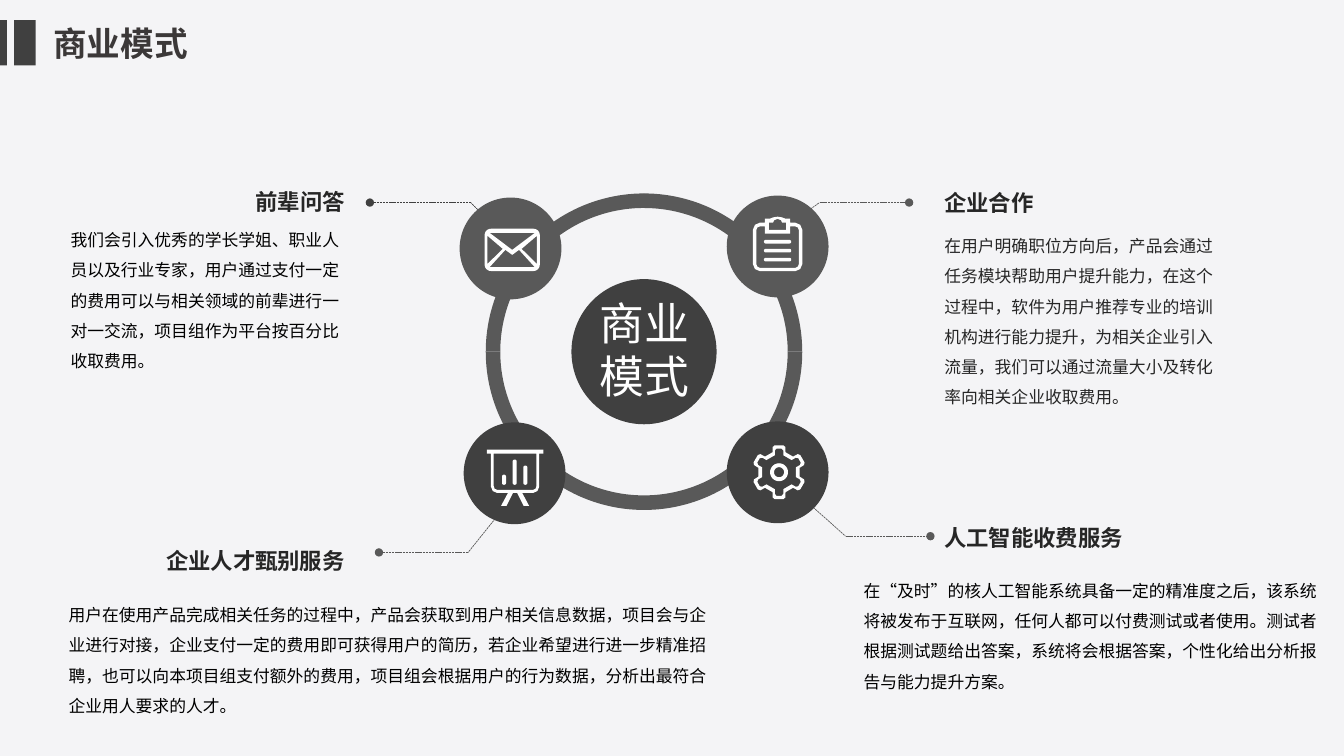
from dataclasses import dataclass
from math import cos, radians, sin

from lxml import etree
from pptx import Presentation
from pptx.dml.color import RGBColor
from pptx.enum.dml import MSO_LINE
from pptx.enum.shapes import MSO_CONNECTOR, MSO_SHAPE
from pptx.enum.text import MSO_ANCHOR, MSO_AUTO_SIZE, PP_ALIGN
from pptx.oxml.ns import qn
from pptx.util import Pt

RECT, OVAL, ARC = MSO_SHAPE.RECTANGLE, MSO_SHAPE.OVAL, MSO_SHAPE.BLOCK_ARC
STRAIGHT, DASH = MSO_CONNECTOR.STRAIGHT, MSO_LINE.SQUARE_DOT
LEFT, RIGHT = PP_ALIGN.LEFT, PP_ALIGN.RIGHT
TOP, MIDDLE = MSO_ANCHOR.TOP, MSO_ANCHOR.MIDDLE
GROW, FIXED = MSO_AUTO_SIZE.SHAPE_TO_FIT_TEXT, MSO_AUTO_SIZE.NONE

Point = tuple[float, float]
Path = list[Point]
Box = tuple[float, float, float, float]


@dataclass(frozen=True)
class Theme:
    page: RGBColor = RGBColor(0xF4, 0xF4, 0xF6)
    dark: RGBColor = RGBColor(0x40, 0x40, 0x40)
    mid: RGBColor = RGBColor(0x59, 0x59, 0x59)
    white: RGBColor = RGBColor(0xFF, 0xFF, 0xFF)
    black: RGBColor = RGBColor(0, 0, 0)
    ink: RGBColor = RGBColor(0x26, 0x26, 0x26)
    title: RGBColor = RGBColor(0x3B, 0x38, 0x38)
    sans: str = "Noto Sans CJK SC"
    arial: str = "Arial"
    hub: str = "Roboto"
    small: float = 12
    head: float = 16
    large: float = 24
    huge: float = 32


THEME = Theme()


@dataclass(frozen=True)
class Label:
    box: Box
    lines: tuple[str, ...]
    size: float = THEME.small
    colour: RGBColor = THEME.black
    font: str = THEME.sans
    bold: bool = False
    align: PP_ALIGN = LEFT
    anchor: MSO_ANCHOR = TOP
    fit: MSO_AUTO_SIZE = GROW
    inset: Box = (7.2, 3.6, 7.2, 3.6)
    space: float = 1
    wrap: bool = True


@dataclass(frozen=True)
class Lead:
    start: Point
    bend: Point
    end: Point
    colour: RGBColor = THEME.mid


@dataclass(frozen=True)
class Badge:
    disc: Point
    icon: Point
    paths: list[Path]
    colour: RGBColor


def head(box: Box, text: str, align: PP_ALIGN = LEFT) -> Label:
    return Label(box, (text,), THEME.head, THEME.ink, bold=True, align=align,
                 anchor=MIDDLE, fit=FIXED)


def mirror(half: Path, width: float) -> Path:
    return half + [(width - x, y) for x, y in reversed(half)]


def polar(radius: float, angle: float, mid: float = 18.7) -> Point:
    turn = radians(angle)
    return mid + radius * sin(turn), mid - radius * cos(turn)


def ring(radius: float) -> Path:
    return [polar(radius, angle) for angle in range(0, 360, 10)]


def cog(tooth: Path) -> Path:
    return [polar(radius, 60 * k + angle) for k in range(6) for radius, angle in tooth]


def pill(left: float, top: float, width: float, height: float, r: float) -> Path:
    ends = ((left + width - r, top + r, 0), (left + width - r, top + height - r, 90),
            (left + r, top + height - r, 180), (left + r, top + r, 270))
    return [(x + r * sin(radians(a + step)), y - r * cos(radians(a + step)))
            for x, y, a in ends for step in range(0, 91, 15)]


MAIL = [
    pill(0, 0, 39.4, 30.2, 4.5),
    mirror([(3.5, 2.9), (19.7, 15.1)], 39.4),
    [(2, 5), (13, 14.4), (2, 25.2)],
    [(37.4, 5), (26.4, 14.4), (37.4, 25.2)],
    mirror([(3.6, 27.4), (14.8, 15.1), (19.7, 18.7)], 39.4),
]
BOARD = [
    mirror([(20.2, 0), (0, 0), (0, 2.9), (2.9, 2.9), (2.9, 26.5), (4.2, 29.7), (7.2, 31),
            (15.1, 31), (10.1, 40.3), (14, 40.3), (18.7, 31)], 40.3),
    mirror([(4.9, 2.9), (4.9, 26), (5.5, 28), (7.2, 28.8)], 40.3),
] + [pill(10.8 + 7.6 * k, top, 2.9, 25.2 - top, 1.4) for k, top in enumerate((18, 7.2, 11.5))]
CLIP = [
    mirror([(17.6, 0), (14.5, 0.5), (12.2, 1.4), (8.6, 1.4), (8.6, 4.3), (5, 4.3),
            (1.5, 5.8), (0, 9.4), (0, 33.9), (1.5, 37.4), (5, 38.9)], 35.3),
    mirror([(8.6, 12.2), (8.6, 7), (5, 7), (3.2, 7.7), (2.5, 9.4), (2.5, 34),
            (3.2, 35.7), (5, 36.6)], 35.3),
    mirror([(17.6, 1.6), (15.2, 2.5), (14.4, 4.3), (11.5, 4.3), (11.5, 9.4)], 35.3),
] + [pill(7.9, 16.6 + 6.4 * k, 19.5, 2.6, 1.3) for k in range(3)]
GEAR = [
    cog([(15, -18), (18.6, -14), (19.5, -9), (19.5, 9), (18.6, 14), (15, 18)]),
    cog([(12.5, -14), (15.8, -11), (17, -6), (17, 6), (15.8, 11), (12.5, 14)]),
    ring(6.4),
    ring(3.6),
]

BADGES = (
    Badge((328.3, 141.1), (346.2, 163.4), MAIL, THEME.mid),
    Badge((331.2, 301.7), (347.8, 321.1), BOARD, THEME.dark),
    Badge((519.1, 139.7), (537.8, 154.8), CLIP, THEME.mid),
    Badge((519.1, 301), (537.8, 318.6), GEAR, THEME.dark),
)
LEADS = (
    Lead((552.2, 168.5), (585.4, 144.7), (649.4, 144.7)),
    Lead((360, 168.5), (336.2, 144.7), (264.2, 144.7), THEME.dark),
    Lead((367.9, 352.8), (334.4, 394.6), (270.7, 394.6)),
    Lead((571.7, 354.2), (604, 383), (664.6, 383)),
)
LABELS = (
    Label((31, 13, 281.5, 36), ("商业模式",), THEME.large, THEME.title, bold=True),
    Label((421.2, 207.4, 79.2, 85), ("商业", "模式"), THEME.huge, THEME.white, THEME.hub,
          wrap=False),
    head((72, 133.2, 181.4, 20.9), "前辈问答", RIGHT),
    head((667.4, 133.2, 166.3, 22.3), "企业合作"),
    head((72, 390.2, 181.4, 20.9), "企业人才甄别服务", RIGHT),
    head((667.4, 373, 166.3, 22.3), "人工智能收费服务"),
    Label((50.4, 157, 195.1, 106.6),
          ("我们会引入优秀的学长学姐、职业人员以及行业专家，用户通过支付一定的费用可以与相关领域的前辈进行一对一交流，项目组作为平台按百分比收取费用。",),
          inset=(0, 0, 0, 0), space=1.5),
    Label((674.6, 149, 203.8, 154.1),
          ("在用户明确职位方向后，产品会通过任务模块帮助用户提升能力，在这个过程中，软件为用户推荐专业的培训机构进行能力提升，为相关企业引入流量，我们可以通过流量大小及转化率向相关企业收取费用。",),
          colour=THEME.ink, font=THEME.arial, anchor=MIDDLE, fit=FIXED,
          inset=(0, 3.6, 7.2, 3.6), space=1.5),
    Label((49, 424.8, 463, 87.1),
          ("用户在使用产品完成相关任务的过程中，产品会获取到用户相关信息数据，项目会与企业进行对接，企业支付一定的费用即可获得用户的简历，若企业希望进行进一步精准招聘，也可以向本项目组支付额外的费用，项目组会根据用户的行为数据，分析出最符合企业用人要求的人才。",),
          inset=(0, 0, 0, 0), space=1.5),
    Label((609.8, 403.9, 350, 94.3),
          ("在“及时”的核人工智能系统具备一定的精准度之后，该系统将被发布于互联网，任何人都可以付费测试或者使用。测试者根据测试题给出答案，系统将会根据答案，个性化给出分析报告与能力提升方案。",),
          space=1.5),
)


def paint(shape, colour: RGBColor) -> None:
    shape.shadow.inherit = False
    shape.fill.solid()
    shape.fill.fore_color.rgb = colour
    shape.line.fill.background()


def add_form(slide, kind: MSO_SHAPE, box: Box, colour: RGBColor):
    shape = slide.shapes.add_shape(kind, *map(Pt, box))
    paint(shape, colour)
    return shape


def add_line(slide, start: Point, end: Point, colour: RGBColor, dot: bool) -> None:
    line = slide.shapes.add_connector(STRAIGHT, *map(Pt, start + end))
    line.line.color.rgb = colour
    line.line.width = Pt(0.5)
    line.line.dash_style = DASH
    if dot:
        etree.SubElement(line.line._get_or_add_ln(), qn("a:tailEnd"), type="oval")
    etree.SubElement(line._element.spPr, qn("a:effectLst"))


def add_badge(slide, badge: Badge) -> None:
    add_form(slide, OVAL, badge.disc + (72.7, 72.7), badge.colour)
    left, top = badge.icon
    paths = [[(Pt(left + x), Pt(top + y)) for x, y in path] for path in badge.paths]
    pen = slide.shapes.build_freeform(*paths[0][0], scale=1.0)
    for path in paths:
        pen.move_to(*path[0])
        pen.add_line_segments(path[1:], close=True)
    paint(pen.convert_to_shape(), THEME.white)


def add_label(slide, label: Label) -> None:
    frame = slide.shapes.add_textbox(*map(Pt, label.box)).text_frame
    frame.word_wrap = label.wrap
    frame.auto_size = label.fit
    frame.vertical_anchor = label.anchor
    (frame.margin_left, frame.margin_top,
     frame.margin_right, frame.margin_bottom) = map(Pt, label.inset)
    for k, text in enumerate(label.lines):
        para = frame.add_paragraph() if k else frame.paragraphs[0]
        para.alignment = label.align
        para.line_spacing = label.space
        run = para.add_run()
        run.text = text
        run.font.size = Pt(label.size)
        run.font.bold = label.bold
        run.font.color.rgb = label.colour
        run.font.name = label.font
        etree.SubElement(run._r.get_or_add_rPr(), qn("a:ea"), typeface=label.font)


def main() -> None:
    deck = Presentation()
    deck.slide_width, deck.slide_height = Pt(960), Pt(540)
    slide = deck.slides.add_slide(deck.slide_layouts[6])
    slide.background.fill.solid()
    slide.background.fill.fore_color.rgb = THEME.page
    for left, width in ((0, 5), (10.1, 15.4)):
        add_form(slide, RECT, (left, 14.4, width, 32.4), THEME.dark)
    for k in range(4):
        arc = add_form(slide, ARC, (347, 138.2, 226.1, 226.1), THEME.mid)
        for n, value in enumerate((54 * k, 54 * (k + 1) % 216, 0.046)):
            arc.adjustments[n] = value
    add_form(slide, OVAL, (408.2, 199.4, 103.7, 103.7), THEME.dark)
    for lead in LEADS:
        add_line(slide, lead.start, lead.bend, lead.colour, False)
        add_line(slide, lead.bend, lead.end, lead.colour, True)
    for badge in BADGES:
        add_badge(slide, badge)
    for label in LABELS:
        add_label(slide, label)
    deck.save("out.pptx")


if __name__ == "__main__":
    main()
